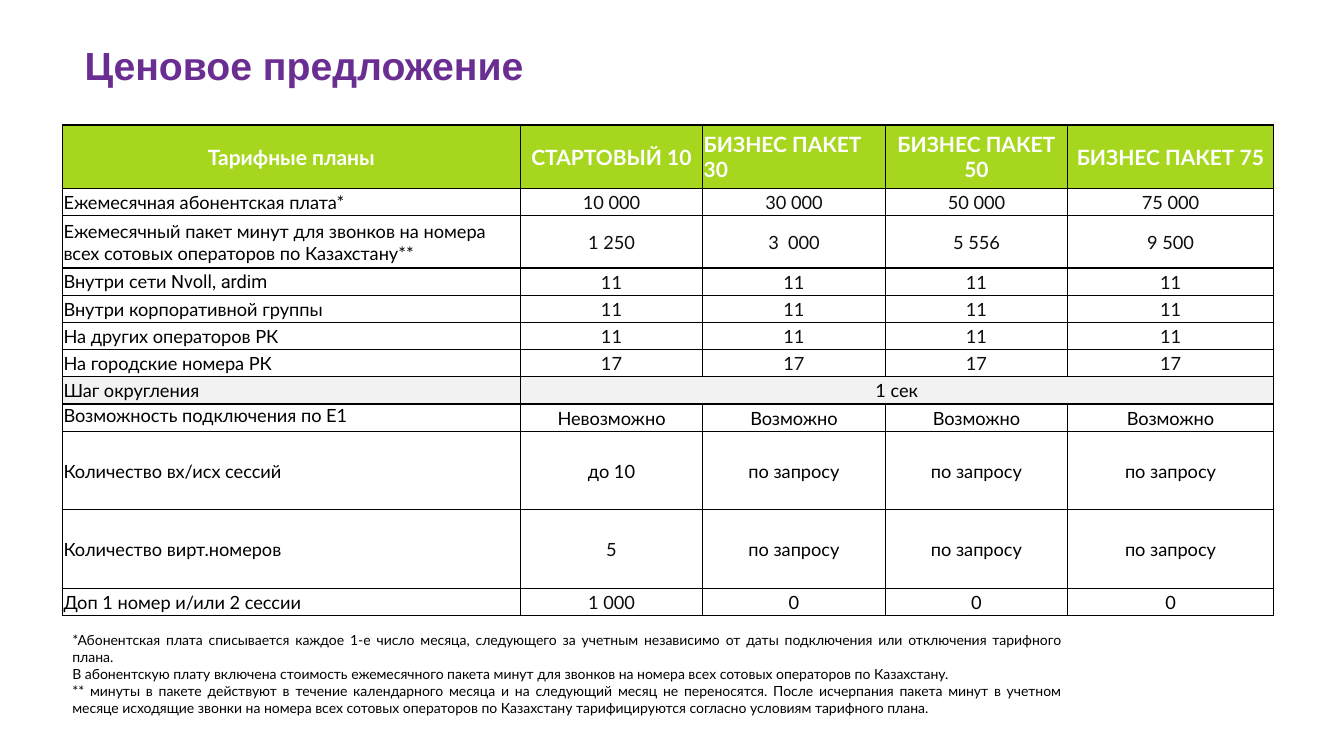
from dataclasses import dataclass

from lxml.etree import SubElement
from pptx import Presentation
from pptx.dml.color import RGBColor
from pptx.enum.text import MSO_ANCHOR, MSO_AUTO_SIZE, PP_ALIGN
from pptx.oxml.ns import qn
from pptx.util import Inches, Pt


@dataclass(frozen=True)
class Theme:
    title_font: str = "Arial"
    body_font: str = "Lato"
    network_font: str = "Roboto"
    title_color: str = "6A2E92"
    header_fill: str = "A6D71E"
    band_fill: str = "F2F2F2"
    white: str = "FFFFFF"
    black: str = "000000"
    number_color: str = "0D0D0D"
    title_size: int = 28
    header_size: int = 15
    cell_size: int = 13
    note_size: int = 10
    border_width: int = 1


THEME = Theme()

TITLE = "Ценовое предложение"
COLUMN_WIDTHS = [4.54, 1.81, 1.81, 1.81, 2.04]
HEADER = ["Тарифные планы", "СТАРТОВЫЙ 10"] + [f"БИЗНЕС ПАКЕТ {size}" for size in (30, 50, 75)]
ON_REQUEST = ["по запросу"] * 3
NETWORK_LABEL = [
    ("Внутри сети ", THEME.body_font),
    ("Nvoll", THEME.network_font),
    (", ", THEME.body_font),
    ("ardim", THEME.network_font),
]
ROUNDING_LABEL = "Шаг округления"
E1_LABEL = "Возможность подключения по Е1"
TARIFF_ROWS = [
    (0.63, HEADER),
    (0.27, ["Ежемесячная абонентская плата*", "10 000", "30 000", "50 000", "75 000"]),
    (0.52, ["Ежемесячный пакет минут для звонков на номера всех сотовых операторов по Казахстану**",
            "1 250", "3  000", "5 556", "9 500"]),
    (0.27, [NETWORK_LABEL] + ["11"] * 4),
    (0.27, ["Внутри корпоративной группы"] + ["11"] * 4),
    (0.27, ["На других операторов РК"] + ["11"] * 4),
    (0.27, ["На городские номера РК"] + ["17"] * 4),
    (0.27, [ROUNDING_LABEL, "1 сек", "", "", ""]),
    (0.27, [E1_LABEL, "Невозможно"] + ["Возможно"] * 3),
    (0.78, ["Количество вх/исх сессий", "до 10"] + ON_REQUEST),
    (0.78, ["Количество вирт.номеров", "5"] + ON_REQUEST),
    (0.27, ["Доп 1 номер и/или 2 сессии", "1 000", "0", "0", "0"]),
]
NOTES = [
    "*Абонентская плата списывается каждое 1-е число месяца, следующего за учетным независимо "
    "от даты подключения или отключения тарифного плана.",
    "В абонентскую плату включена стоимость ежемесячного пакета минут для звонков на номера "
    "всех сотовых операторов по Казахстану.",
    "** минуты в пакете действуют в течение календарного месяца и на следующий месяц не "
    "переносятся. После исчерпания пакета минут в учетном месяце исходящие звонки на номера "
    "всех сотовых операторов по Казахстану тарифицируются согласно условиям тарифного плана.",
]


def apply_format(target, values):
    for name, value in values.items():
        setattr(target, name, value)


def add_run(paragraph, text, font_name, size, color, bold=False):
    run = paragraph.add_run()
    run.text = text
    apply_format(run.font, {"name": font_name, "size": Pt(size), "bold": bold})
    run.font.color.rgb = RGBColor.from_string(color)


def add_text_frame(slide, box, values):
    shape = slide.shapes.add_textbox(*map(Inches, box))
    apply_format(shape.text_frame, {"word_wrap": True, **values})
    return shape.text_frame


def add_title(slide, box):
    frame = add_text_frame(slide, box, {"vertical_anchor": MSO_ANCHOR.BOTTOM})
    paragraph = frame.paragraphs[0]
    apply_format(paragraph, {"line_spacing": 0.9, "space_after": Pt(6)})
    add_run(paragraph, TITLE, THEME.title_font, THEME.title_size, THEME.title_color, True)


def add_notes(slide, box):
    frame = add_text_frame(slide, box, {"auto_size": MSO_AUTO_SIZE.SHAPE_TO_FIT_TEXT})
    for index, note in enumerate(NOTES):
        paragraph = frame.add_paragraph() if index else frame.paragraphs[0]
        paragraph.alignment = PP_ALIGN.JUSTIFY
        add_run(paragraph, note, THEME.body_font, THEME.note_size, THEME.black)


def set_borders(cell):
    properties = cell._tc.get_or_add_tcPr()
    for side in ("lnL", "lnR", "lnT", "lnB"):
        line = SubElement(properties, qn(f"a:{side}"), w=str(Pt(THEME.border_width)))
        fill = SubElement(line, qn("a:solidFill"))
        SubElement(fill, qn("a:srgbClr"), val=THEME.black)


def set_fill(cell, color):
    if color:
        cell.fill.solid()
        cell.fill.fore_color.rgb = RGBColor.from_string(color)
    else:
        cell.fill.background()


def text_color(content, is_header):
    if is_header:
        return THEME.white
    is_number = isinstance(content, str) and content.replace(" ", "").isdigit()
    return THEME.number_color if is_number and content != "0" else THEME.black


def fill_cell(cell, content, is_header, is_centered):
    label = content if isinstance(content, str) else ""
    margin = Inches(0.01)
    apply_format(cell, {
        "margin_left": margin,
        "margin_right": margin,
        "margin_top": margin,
        "margin_bottom": 0,
        "vertical_anchor": MSO_ANCHOR.TOP if label == E1_LABEL else MSO_ANCHOR.MIDDLE,
    })
    paragraph = cell.text_frame.paragraphs[0]
    paragraph.alignment = PP_ALIGN.CENTER if is_centered else PP_ALIGN.LEFT
    pieces = [(content, THEME.body_font)] if isinstance(content, str) else content
    size = THEME.header_size if is_header else THEME.cell_size
    for text, font_name in pieces:
        if text:
            add_run(paragraph, text, font_name, size, text_color(content, is_header), is_header)


def add_tariff_table(slide, box):
    frame = slide.shapes.add_table(len(TARIFF_ROWS), len(COLUMN_WIDTHS), *map(Inches, box))
    table = frame.table
    apply_format(table, {"first_row": False, "horz_banding": False})
    for column, width in zip(table.columns, COLUMN_WIDTHS):
        column.width = Inches(width)
    row_fills = {HEADER[0]: THEME.header_fill, ROUNDING_LABEL: THEME.band_fill}
    for row_index, (height, contents) in enumerate(TARIFF_ROWS):
        table.rows[row_index].height = Inches(height)
        label = contents[0] if isinstance(contents[0], str) else ""
        is_header = row_index == 0
        for column_index, content in enumerate(contents):
            cell = table.cell(row_index, column_index)
            is_centered = column_index != 2 if is_header else column_index > 0
            set_borders(cell)
            set_fill(cell, row_fills.get(label))
            fill_cell(cell, content, is_header, is_centered)
        if label == ROUNDING_LABEL:
            table.cell(row_index, 1).merge(table.cell(row_index, len(contents) - 1))


def main():
    presentation = Presentation()
    apply_format(presentation, {"slide_width": Inches(13.33), "slide_height": Inches(7.5)})
    slide = presentation.slides.add_slide(presentation.slide_layouts[6])
    add_notes(slide, (0.62, 6.22, 10, 0.77))
    add_title(slide, (0.74, 0.29, 6.44, 0.64))
    add_tariff_table(slide, (0.62, 1.24, 12, 4.84))
    presentation.save("out.pptx")


if __name__ == "__main__":
    main()
